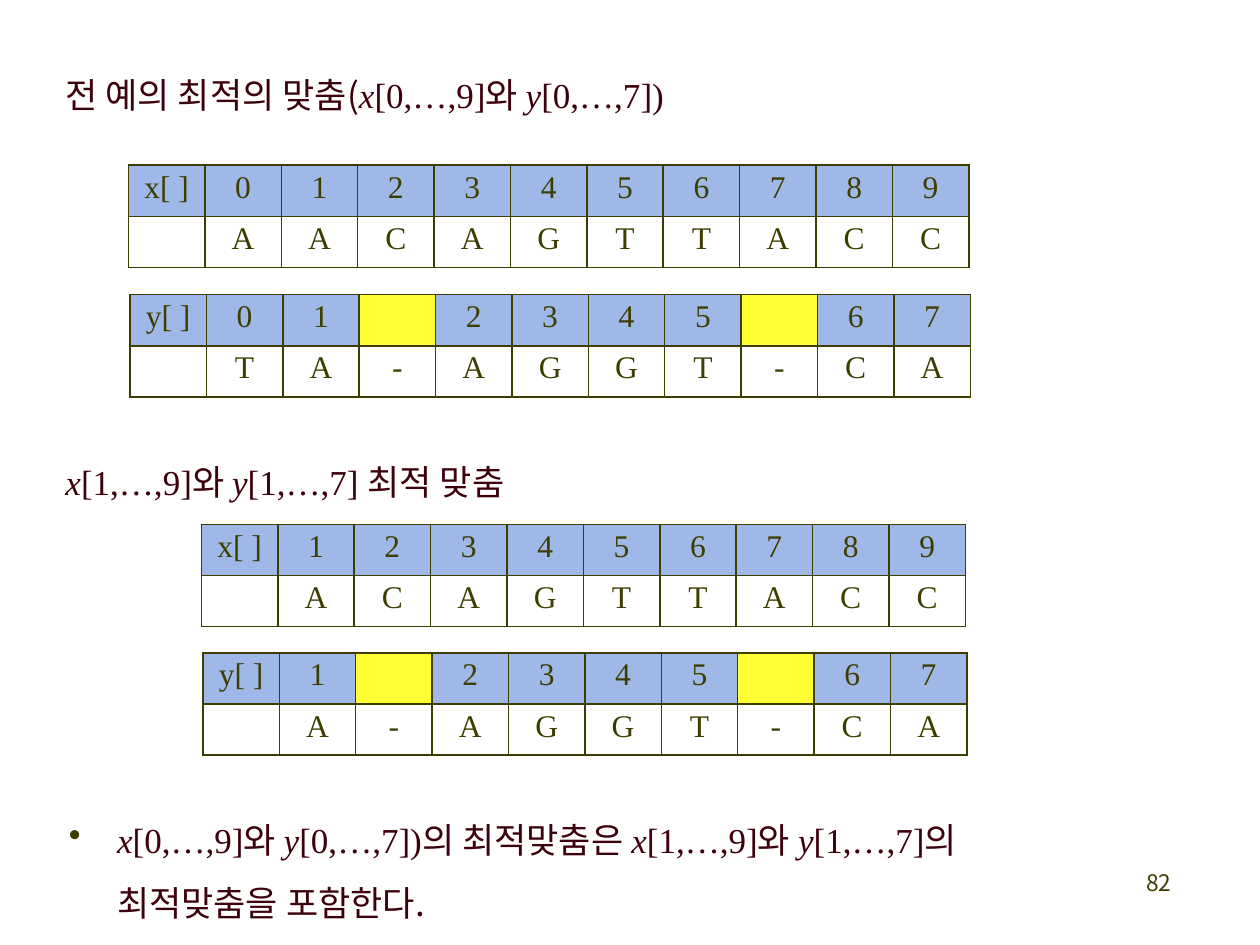
from lxml import etree
from pptx import Presentation, util as u
from pptx.dml.color import RGBColor
from pptx.enum import text
from pptx.oxml import parse_xml
from pptx.oxml.ns import nsdecls, qn

KOREAN, LATIN = "Noto Sans CJK KR", "Times New Roman"
INK, WINE, BLUE, YELLOW = "3E3D00", "3D010C", "9FB8E7", "FFFF33"
color = RGBColor.from_string


def add_text(left, top, width, height, spans, size=20, ink=WINE, bullet=False):
    """Add a box whose spans are (style, words): k Korean, v variable, r range."""
    box = page.shapes.add_textbox(u.Cm(left), u.Cm(top), u.Cm(width), u.Cm(height))
    frame = box.text_frame
    frame.word_wrap = True
    frame.margin_left = frame.margin_right = frame.margin_bottom = 0
    frame.margin_top = u.Cm(0.03)
    para = frame.paragraphs[0]
    if bullet:
        para.line_spacing = 1.5
        props = para._p.get_or_add_pPr()
        props.set("marL", str(u.Cm(0.99)))
        props.set("indent", str(-u.Cm(0.97)))
        props.append(parse_xml(
            f'<a:buClr {nsdecls("a")}><a:srgbClr val="{INK}"/></a:buClr>'))
        props.append(parse_xml(f'<a:buChar {nsdecls("a")} char="•"/>'))
    para.font.size = u.Pt(size)
    para.font.color.rgb = color(ink)
    for style, words in spans:
        span = para.add_run()
        span.text = words
        span.font.name = KOREAN if style == "k" else LATIN
        if style == "v":
            span.font.italic = True
        # East Asian letters take their own typeface
        east = etree.SubElement(span.font._element, qn("a:ea"))
        east.set("typeface", span.font.name)


def add_border(cell):
    """Draw a thin line on all four sides of a cell."""
    props = cell._tc.get_or_add_tcPr()
    for side in ("lnL", "lnR", "lnT", "lnB"):
        props.append(parse_xml(
            f'<a:{side} {nsdecls("a")} w="{u.Pt(1)}"><a:solidFill>'
            f'<a:srgbClr val="{INK}"/></a:solidFill></a:{side}>'))


deck = Presentation()
deck.slide_width, deck.slide_height = u.Cm(25.4), u.Cm(19.05)
page = deck.slides.add_slide(deck.slide_layouts[6])

# Page number
add_text(23.11, 17.48, 0.58, 0.61, [("k", "82")], size=13, ink=INK)

# Headings
add_text(1.32, 1.45, 12.9, 0.91, [
    ("k", "전 예의 최적의 맞춤("), ("v", "x"), ("r", "[0,…,9]"), ("k", "와 "),
    ("v", "y"), ("r", "[0,…,7])")])
add_text(1.32, 9.25, 9.37, 0.91, [
    ("v", "x"), ("r", "[1,…,9]"), ("k", "와 "), ("v", "y"), ("r", "[1,…,7] "),
    ("k", "최적 맞춤")])

# Conclusion
add_text(1.37, 16.05, 18.72, 2.62, [
    ("v", "x"), ("r", "[0,…,9]"), ("k", "와 "), ("v", "y"), ("r", "[0,…,7])"),
    ("k", "의 최적맞춤은 "), ("v", "x"), ("r", "[1,…,9]"), ("k", "와 "),
    ("v", "y"), ("r", "[1,…,7]"), ("k", "의 최적맞춤을 포함한다.")], bullet=True)

# Alignment tables: left, top, name, sequence, first index
COLUMN, ROW = 1.54, 1.03
alignments = [
    (2.59, 3.33, "x[ ]", "AACAGTTACC", 0),
    (2.62, 5.94, "y[ ]", "TA-AGGT-CA", 0),
    (4.06, 10.57, "x[ ]", "ACAGTTACC", 1),
    (4.09, 13.16, "y[ ]", "A-AGGT-CA", 1),
]
for left, top, name, sequence, index in alignments:
    # Gaps take no index
    header = [name]
    for letter in sequence:
        header.append("" if letter == "-" else str(index))
        index += letter != "-"
    rows = [header, ["", *sequence]]
    count = len(header)
    table = page.shapes.add_table(2, count, u.Cm(left), u.Cm(top),
                                  u.Cm(COLUMN * count), u.Cm(ROW * 2)).table
    table.first_row = table.horz_banding = False
    for column in table.columns:
        column.width = u.Cm(COLUMN)
    for r, labels in enumerate(rows):
        table.rows[r].height = u.Cm(ROW)
        for c, label in enumerate(labels):
            cell = table.cell(r, c)
            add_border(cell)
            if r == 0:
                cell.fill.solid()
                cell.fill.fore_color.rgb = color(BLUE if label else YELLOW)
            else:
                cell.fill.background()
            cell.margin_left = cell.margin_right = cell.margin_bottom = 0
            cell.margin_top = u.Cm(0.1)
            cell.text = label
            para = cell.text_frame.paragraphs[0]
            para.alignment = text.PP_ALIGN.CENTER
            para.font.name = LATIN
            para.font.size = u.Pt(18)
            para.font.color.rgb = color(INK)

deck.save("out.pptx")
